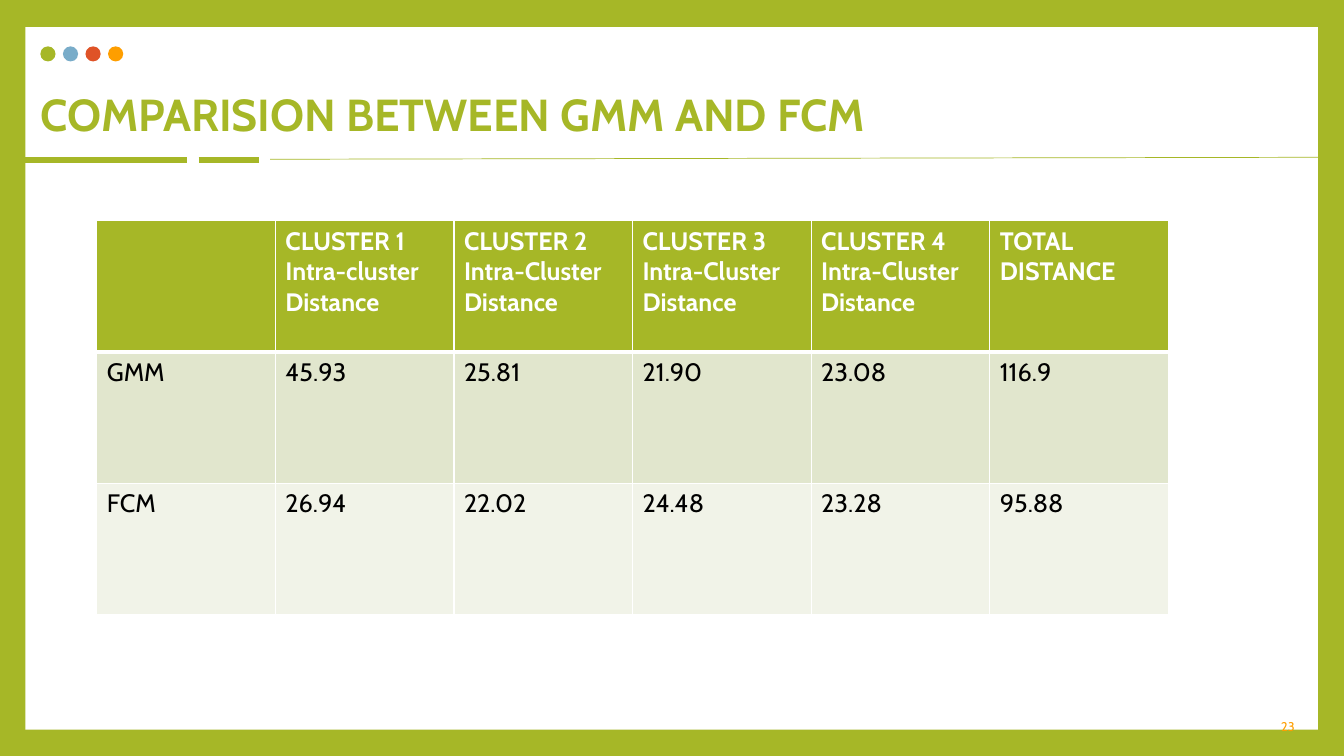
from lxml import etree
from pptx import Presentation
from pptx import util as u
from pptx.dml.color import RGBColor
from pptx.enum import shapes, text
from pptx.oxml import ns

GREEN = RGBColor(0xA6, 0xB7, 0x27)
BLUE = RGBColor(0x41, 0x8A, 0xB3)
RED = RGBColor(0xDF, 0x53, 0x27)
ORANGE = RGBColor(0xFE, 0x9E, 0x00)
WHITE = RGBColor(0xFF, 0xFF, 0xFF)
BLACK = RGBColor(0x00, 0x00, 0x00)
BAND_DARK = RGBColor(0xE1, 0xE6, 0xCD)
BAND_LIGHT = RGBColor(0xF1, 0xF3, 0xE8)

ROWS = [
    ["", "CLUSTER 1 Intra-cluster Distance", "CLUSTER 2\nIntra-Cluster Distance",
     "CLUSTER 3 Intra-Cluster Distance", "CLUSTER 4 Intra-Cluster Distance",
     "TOTAL DISTANCE"],
    ["GMM", "45.93", "25.81", "21.90", "23.08", "116.9"],
    ["FCM", "26.94", "22.02", "24.48", "23.28", "95.88"],
]


class SlideBuilder:
    """Places elements by percentages of the slide's width and height."""
    font = "Cabin"

    def __init__(self, prs):
        self.width, self.height = prs.slide_width, prs.slide_height
        self.s = prs.slides.add_slide(prs.slide_layouts[6])

    def scale(self, *shares):
        """Turn alternating horizontal and vertical percentages into lengths."""
        sizes = (self.width, self.height)
        return [u.Emu(round(sizes[i % 2] * v / 100)) for i, v in enumerate(shares)]

    def background(self, color):
        fill = self.s.background.fill
        fill.solid()
        fill.fore_color.rgb = color

    def shape(self, kind, box, color, opacity=100):
        sp = self.s.shapes.add_shape(kind, *self.scale(*box))
        sp.shadow.inherit = False
        sp.fill.solid()
        sp.fill.fore_color.rgb = color
        sp.line.fill.background()
        if opacity < 100:
            clr = sp.fill._xPr.find(".//" + ns.qn("a:srgbClr"))
            etree.SubElement(clr, ns.qn("a:alpha"), val=str(opacity * 1000))

    def line(self, ends, color, weight):
        ln = self.s.shapes.add_connector(shapes.MSO_CONNECTOR.STRAIGHT, *self.scale(*ends))
        ln.line.color.rgb = color
        ln.line.width = u.Pt(weight)
        etree.SubElement(ln._element.spPr, ns.qn("a:effectLst"))

    def style(self, tf, size, color, bold=False):
        for p in tf.paragraphs:
            for r in p.runs:
                r.font.name, r.font.size = self.font, u.Pt(size)
                r.font.color.rgb, r.font.bold = color, bold

    def text(self, box, words, size, color, anchor, align, bold=False, inset=None, spacing=None):
        tf = self.s.shapes.add_textbox(*self.scale(*box)).text_frame
        tf.word_wrap = True
        tf.vertical_anchor = anchor
        if inset is not None:
            tf.margin_left = tf.margin_right = tf.margin_top = tf.margin_bottom = inset
        tf.text = words
        p = tf.paragraphs[0]
        p.alignment, p.line_spacing = align, spacing
        self.style(tf, size, color, bold)

    def borders(self, cell, color, **weights):
        tc_pr = cell._tc.get_or_add_tcPr()
        for side in "LRTB":
            ln = etree.SubElement(tc_pr, ns.qn("a:ln" + side), w=str(u.Pt(weights.get(side, 1))))
            fill = etree.SubElement(ln, ns.qn("a:solidFill"))
            etree.SubElement(fill, ns.qn("a:srgbClr"), val=str(color))

    def table(self, box, rows, fills):
        tbl = self.s.shapes.add_table(len(rows), len(rows[0]), *self.scale(*box)).table
        for i, row in enumerate(rows):
            header = i == 0
            rule = {"B": 3} if header else {"T": 3} if i == 1 else {}
            for j, words in enumerate(row):
                cell = tbl.cell(i, j)
                self.borders(cell, WHITE, **rule)
                cell.fill.solid()
                cell.fill.fore_color.rgb = fills[i]
                cell.text_frame.text = words
                self.style(cell.text_frame, 18, WHITE if header else BLACK, header)


def main():
    prs = Presentation()
    prs.slide_width, prs.slide_height = u.Inches(13.33), u.Inches(7.5)
    page = SlideBuilder(prs)

    # Green frame around a white panel
    page.background(GREEN)
    page.shape(shapes.MSO_SHAPE.RECTANGLE, (1.88, 3.6, 96.17, 92.93), WHITE)

    # Broken rule below the title
    page.line((0, 21.2, 13.88, 21.2), GREEN, 4.5)
    page.line((14.78, 21.2, 19.28, 21.2), GREEN, 4.5)
    page.line((20.1, 21.07, 100, 20.8), GREEN, 0.5)

    # Row of dots
    for i, (color, opacity) in enumerate([(GREEN, 100), (BLUE, 70), (RED, 100), (ORANGE, 100)]):
        page.shape(shapes.MSO_SHAPE.OVAL, (3 + 1.68 * i, 6.13, 1.13, 2), color, opacity)

    # Title and page number
    page.text((3, 3.6, 94.07, 15.07), "COMPARISION BETWEEN GMM AND FCM", 32, GREEN,
              text.MSO_ANCHOR.BOTTOM, text.PP_ALIGN.LEFT, bold=True, inset=0, spacing=0.9)
    page.text((74.57, 94.27, 22.5, 3.6), "23", 9, ORANGE,
              text.MSO_ANCHOR.MIDDLE, text.PP_ALIGN.RIGHT)

    # Distance table
    page.table((7.2, 29.2, 79.74, 52.13), ROWS, [GREEN, BAND_DARK, BAND_LIGHT])

    prs.save("out.pptx")


if __name__ == "__main__":
    main()
